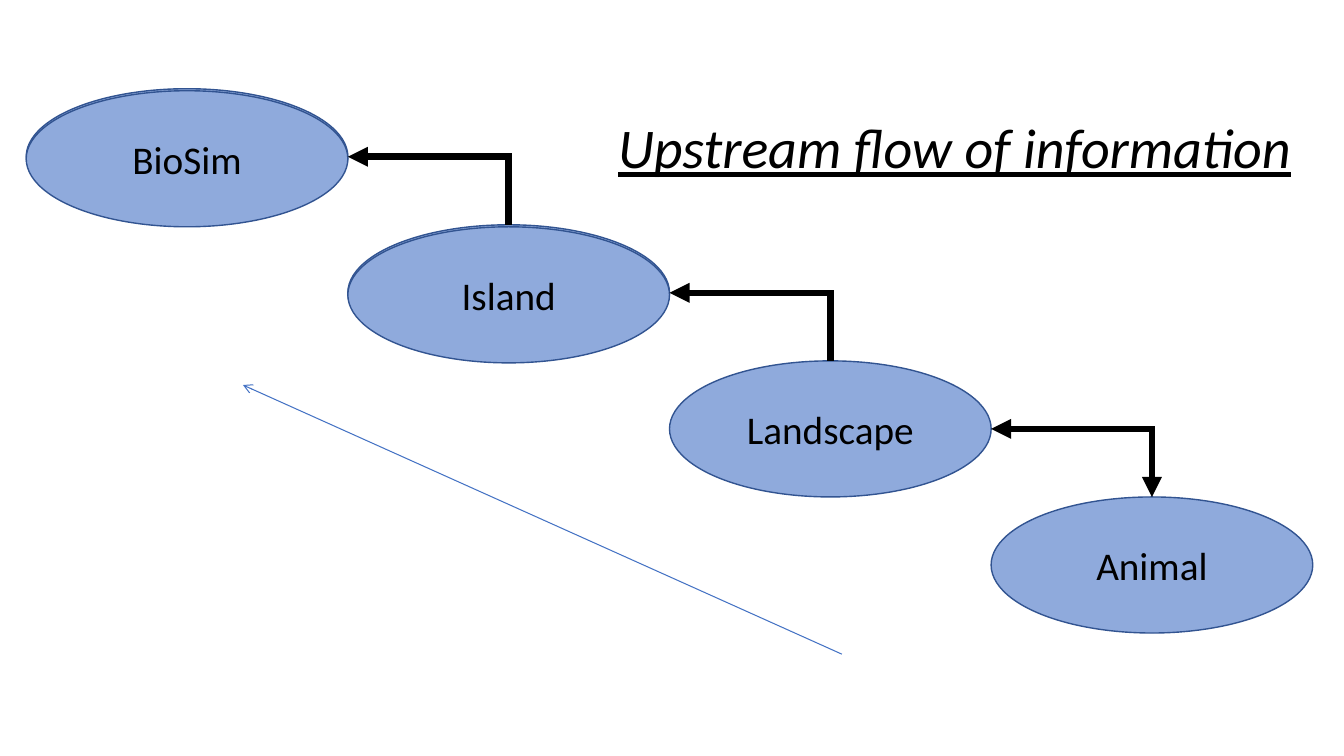
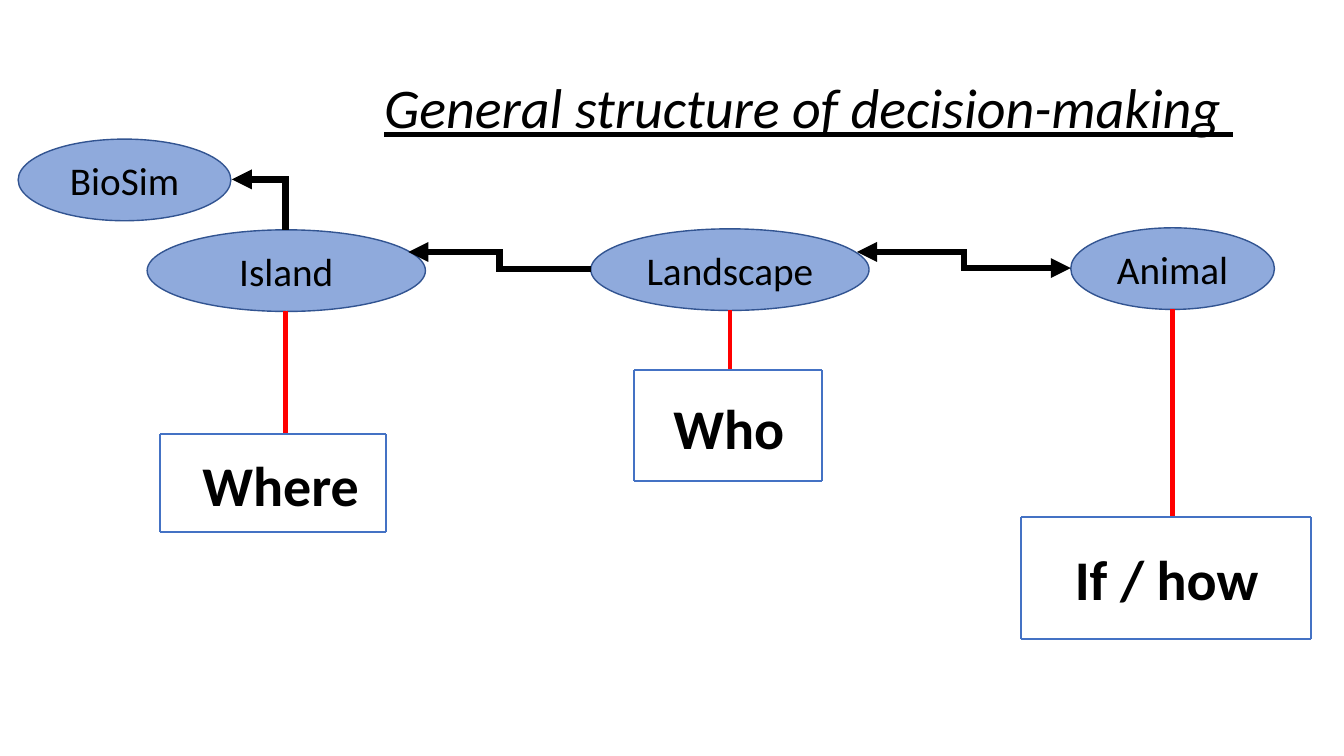
"""Build two slides on information flow and decision-making in a simulation."""
from lxml.etree import SubElement
from pptx import Presentation
from pptx.dml.color import RGBColor
from pptx.enum.shapes import MSO_CONNECTOR, MSO_SHAPE
from pptx.enum.text import MSO_ANCHOR, MSO_AUTO_SIZE, PP_ALIGN
from pptx.oxml.ns import qn
from pptx.util import Inches, Pt

BLACK = RGBColor(0x00, 0x00, 0x00)
RED = RGBColor(0xFF, 0x00, 0x00)
BLUE = RGBColor(0x44, 0x72, 0xC4)
LIGHT_BLUE = RGBColor(0x8F, 0xAA, 0xDC)
DARK_BLUE = RGBColor(0x32, 0x54, 0x91)
FONT = "Calibri"
NAMES = ["BioSim", "Island", "Landscape", "Animal"]


def write_text(shape, text, size, alignment, anchor=MSO_ANCHOR.TOP):
    text_frame = shape.text_frame
    text_frame.text = text
    text_frame.word_wrap = True
    text_frame.auto_size = MSO_AUTO_SIZE.NONE
    text_frame.vertical_anchor = anchor
    paragraph = text_frame.paragraphs[0]
    paragraph.alignment = alignment
    font = paragraph.runs[0].font
    font.name, font.size, font.color.rgb = FONT, Pt(size), BLACK
    return font


def add_line(slide, points, color, width, geometry="line", head=None, tail=None):
    connector = slide.shapes.add_connector(MSO_CONNECTOR.STRAIGHT, *map(Inches, points))
    connector.line.color.rgb = color
    connector.line.width = Pt(width)
    properties = connector._element.spPr
    properties.find(qn("a:prstGeom")).set("prst", geometry)
    outline = properties.get_or_add_ln()
    SubElement(outline, qn("a:miter")).set("lim", "800000")
    for tag, arrow in (("a:headEnd", head), ("a:tailEnd", tail)):
        if arrow:
            SubElement(outline, qn(tag)).set("type", arrow)
    SubElement(properties, qn("a:effectLst"))


presentation = Presentation()
presentation.slide_width = Inches(13.33)
presentation.slide_height = Inches(7.5)

TITLES = [
    ("Upstream flow of information", (6.03, 1.07, 6.98, 1.45)),
    ("General structure of decision-making ", (3.71, 0.67, 8.65, 0.77)),
]
slides = []
for text, box in TITLES:
    slide = presentation.slides.add_slide(presentation.slide_layouts[5])
    title = slide.shapes.title
    title.left, title.top, title.width, title.height = map(Inches, box)
    font = write_text(title, text, 40, PP_ALIGN.LEFT)
    font.italic = font.underline = True
    slides.append(slide)
flow_slide, decision_slide = slides

LEFT, TOP, WIDTH, HEIGHT = 0.26, 0.88, 3.19, 1.35
staircase = [(LEFT + WIDTH * step, TOP + HEIGHT * step, WIDTH, HEIGHT) for step in range(4)]
overlays = [(left, top + 0.02, WIDTH, HEIGHT) for left, top, _, _ in staircase[:2]]
decision_row = [
    (0.18, 1.38, 2.11, 0.81),
    (1.46, 2.28, 2.76, 0.81),
    (5.86, 2.27, 2.76, 0.81),
    (10.62, 2.26, 2.02, 0.81),
]
for slide, boxes in ((flow_slide, staircase + overlays), (decision_slide, decision_row)):
    for name, box in zip(NAMES + NAMES[:2], boxes):
        ellipse = slide.shapes.add_shape(MSO_SHAPE.OVAL, *map(Inches, box))
        ellipse.shadow.inherit = False
        ellipse.fill.solid()
        ellipse.fill.fore_color.rgb = LIGHT_BLUE
        ellipse.line.color.rgb = DARK_BLUE
        ellipse.line.width = Pt(1)
        write_text(ellipse, name, 28, PP_ALIGN.CENTER, MSO_ANCHOR.MIDDLE)

for (left, top, _, _), tail in zip(staircase[1:], (None, None, "triangle")):
    points = (left, top - HEIGHT / 2, left + WIDTH / 2, top)
    add_line(flow_slide, points, BLACK, 4.75, "bentConnector2", "triangle", tail)
add_line(flow_slide, (8.35, 6.49, 2.41, 3.82), BLUE, 0.75, tail="arrow")

DECISION_ARROWS = [
    ((2.3, 1.78, 2.83, 2.28), "bentConnector2", None),
    ((4.05, 2.5, 5.86, 2.67), "bentConnector3", None),
    ((8.5, 2.5, 10.62, 2.66), "bentConnector3", "triangle"),
]
for points, geometry, tail in DECISION_ARROWS:
    add_line(decision_slide, points, BLACK, 4.75, geometry, "triangle", tail)

QUESTIONS = [
    ("Where", (1.91, 4.42, 8.5, 0.77), PP_ALIGN.LEFT, (1.59, 4.31, 3.83, 5.28), 2.83, 3.5),
    ("Who", (6.58, 3.86, 3.79, 0.77), PP_ALIGN.LEFT, (6.29, 3.67, 8.15, 4.77), 7.24, 3.25),
    ("If / how", (7.69, 5.35, 4.89, 0.77), PP_ALIGN.RIGHT, (10.13, 5.13, 13, 6.34), 11.63, 3.25),
]
for (text, box, alignment, frame, stem, stem_width), ellipse_box in zip(QUESTIONS, decision_row[1:]):
    question = decision_slide.shapes.add_textbox(*map(Inches, box))
    write_text(question, text, 40, alignment).bold = True
    left, top, right, bottom = frame
    ellipse_bottom = ellipse_box[1] + ellipse_box[3]
    add_line(decision_slide, (stem, ellipse_bottom, stem, top), RED, stem_width)
    for side in (left, right):
        add_line(decision_slide, (side, bottom, side, top), BLUE, 1.5)
    for edge in (top, bottom):
        add_line(decision_slide, (right, edge, left, edge), BLUE, 1.5)

presentation.save("out.pptx")
